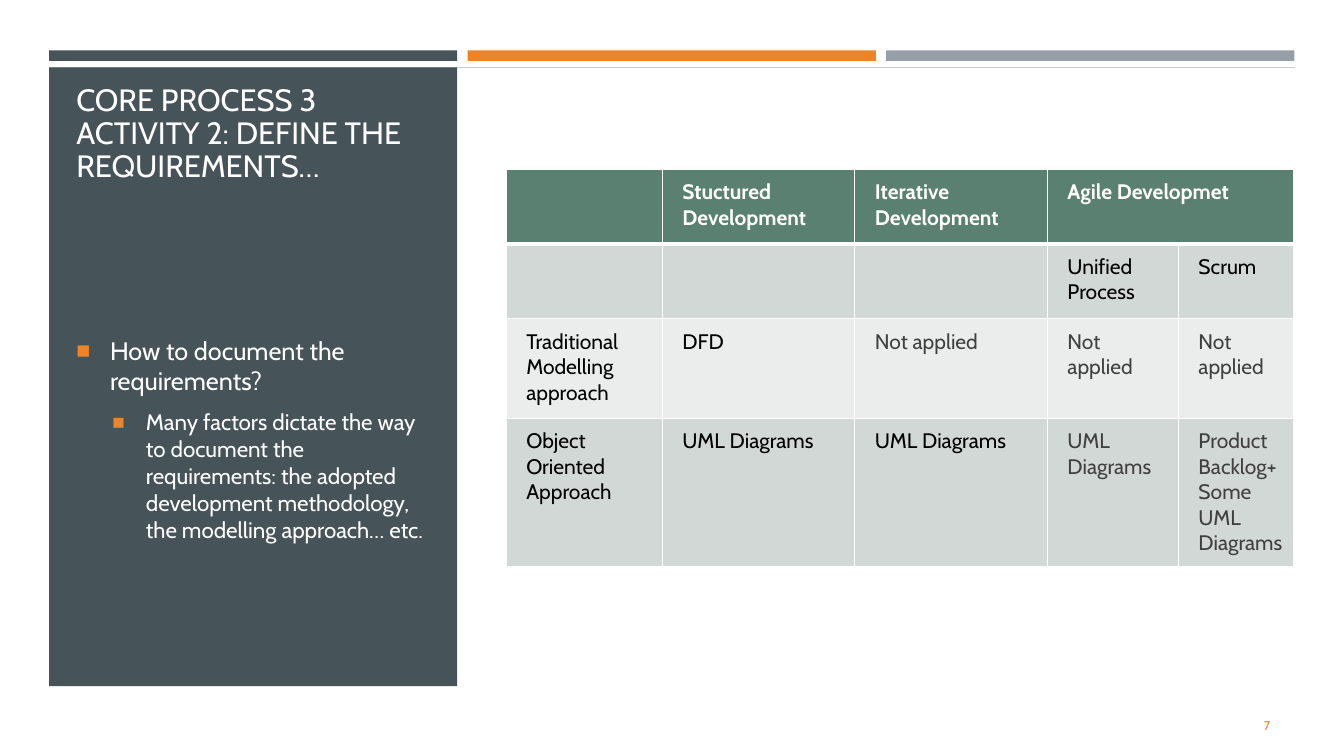
import pptx
import pptx.dml.color
import pptx.enum.shapes
import pptx.enum.text
import pptx.oxml
import pptx.oxml.ns
import pptx.util
from lxml import etree

Pt = pptx.util.Pt
ANCHOR = pptx.enum.text.MSO_ANCHOR
FONT = "Cabin"
SLATE, ORANGE, GREY, WHITE = "465359", "ED8428", "969FA7", "FFFFFF"
BLACK, CHARCOAL, GREEN = "000000", "404040", "5A8071"
ROW_FILLS = [GREEN, "D2D8D5", "EAEDEB", "D2D8D5"]
COLUMN_WIDTHS = [111.6, 137.5, 137.5, 93.6, 82.1]
ROW_HEIGHTS = [53.3, 53.3, 71.3, 105.8]
APPROACHES = [
    ["", "Stuctured Development", "Iterative Development", "Agile Developmet", ""],
    ["", "", "", "Unified Process", "Scrum"],
    ["Traditional Modelling approach", "DFD"] + ["Not applied"] * 3,
    ["Object Oriented Approach"] + ["UML Diagrams"] * 3
    + ["Product Backlog+Some UML Diagrams"],
]
FIRST_CHARCOAL_COLUMN = {2: 2, 3: 3}


def rgb(value):
    """Turn a hex string into a colour."""
    return pptx.dml.color.RGBColor.from_string(value)


def apply(target, formats):
    """Set every attribute named in a dict of format values."""
    for attribute, value in formats.items():
        setattr(target, attribute, value)


def add_child(parent, tag, **attributes):
    """Append a drawing element with attributes to a parent."""
    child = etree.SubElement(parent, pptx.oxml.ns.qn(tag))
    for attribute, value in attributes.items():
        child.set(attribute, str(value))
    return child


def add_block(slide, left, top, width, height, color):
    """Draw a plain filled rectangle."""
    block = slide.shapes.add_shape(
        pptx.enum.shapes.MSO_SHAPE.RECTANGLE, Pt(left), Pt(top), Pt(width), Pt(height))
    block.shadow.inherit = False
    block.fill.solid()
    block.fill.fore_color.rgb = rgb(color)
    block.line.fill.background()


def add_rule(slide, left, right, y):
    """Draw the hairline under the header bars."""
    rule = slide.shapes.add_connector(
        pptx.enum.shapes.MSO_CONNECTOR.STRAIGHT, Pt(left), Pt(y), Pt(right), Pt(y))
    rule.line.width = Pt(0.25)
    rule.line.color.rgb = rgb("C8CBCD")
    add_child(rule._element.spPr, "a:effectLst")


def add_text_frame(slide, left, top, width, height, anchor):
    """Add a wrapping text box and return its frame."""
    frame = slide.shapes.add_textbox(Pt(left), Pt(top), Pt(width), Pt(height)).text_frame
    apply(frame, {"word_wrap": True, "vertical_anchor": anchor})
    return frame


def write(paragraph, text, size, color, bold=False, **formats):
    """Write one styled run into a paragraph."""
    apply(paragraph, formats)
    run = paragraph.add_run()
    run.text = text
    apply(run.font, {"name": FONT, "size": Pt(size), "bold": bold})
    run.font.color.rgb = rgb(color)


def add_bullet(paragraph, indent):
    """Give a paragraph an orange square bullet with a hanging indent."""
    properties = paragraph._p.get_or_add_pPr()
    properties.set("marL", str(Pt(indent)))
    properties.set("indent", str(-Pt(24)))
    add_child(add_child(properties, "a:buClr"), "a:srgbClr", val=ORANGE)
    add_child(properties, "a:buSzPct", val=92000)
    add_child(properties, "a:buFont", typeface="Arial")
    add_child(properties, "a:buChar", char="■")


def add_borders(cell, top, bottom):
    """Put white borders on a cell, with the given top and bottom widths."""
    properties = cell._tc.get_or_add_tcPr()
    for side, width in {"L": 1, "R": 1, "T": top, "B": bottom}.items():
        border = add_child(properties, f"a:ln{side}", w=Pt(width))
        add_child(add_child(border, "a:solidFill"), "a:srgbClr", val=WHITE)


def add_approach_table(slide):
    """Build the table of modelling approaches by methodology."""
    table = slide.shapes.add_table(
        len(ROW_HEIGHTS), len(COLUMN_WIDTHS), Pt(361.5), Pt(121),
        Pt(sum(COLUMN_WIDTHS)), Pt(sum(ROW_HEIGHTS))).table
    for column, width in zip(table.columns, COLUMN_WIDTHS):
        column.width = Pt(width)
    for row, height in zip(table.rows, ROW_HEIGHTS):
        row.height = Pt(height)
    margins = {"margin_left": Pt(14.4), "margin_right": Pt(7.2),
               "margin_top": Pt(7.2), "margin_bottom": Pt(7.2)}
    for r, labels in enumerate(APPROACHES):
        for c, label in enumerate(labels):
            cell = table.cell(r, c)
            apply(cell, margins)
            add_borders(cell, 3 if r == 1 else 1, 3 if r == 0 else 1)
            cell.fill.solid()
            cell.fill.fore_color.rgb = rgb(ROW_FILLS[r])
            body_color = CHARCOAL if c >= FIRST_CHARCOAL_COLUMN.get(r, 5) else BLACK
            if label:
                write(cell.text_frame.paragraphs[0], label, 15,
                      WHITE if r == 0 else body_color, r == 0)
    table.cell(0, 3).merge(table.cell(0, 4))


def main():
    """Build the slide and save it."""
    deck = pptx.Presentation()
    apply(deck, {"slide_width": Pt(960), "slide_height": Pt(540)})
    slide = deck.slides.add_slide(deck.slide_layouts[6])

    for i, color in enumerate([SLATE, ORANGE, GREY]):
        add_block(slide, 35 + 299 * i, 36, 291.6, 7.5, color)
    add_rule(slide, 35, 925, 48.2)
    add_block(slide, 35, 48.2, 291.6, 442, SLATE)

    title = add_text_frame(slide, 47.5, 55.4, 268.6, 80, ANCHOR.BOTTOM)
    write(title.paragraphs[0], "CORE PROCESS 3 ACTIVITY 2: DEFINE THE REQUIREMENTS…",
          22, WHITE, line_spacing=0.9)

    question = add_text_frame(slide, 47.5, 154.8, 268.6, 317.5, ANCHOR.MIDDLE)
    add_bullet(question.paragraphs[0], 24)
    write(question.paragraphs[0], "How to document the requirements?", 18, WHITE,
          space_after=Pt(6))
    factors = question.add_paragraph()
    add_bullet(factors, 49.7)
    write(factors, "Many factors dictate the way to document the requirements: the adopted "
          "development methodology, the modelling approach… etc.", 16, WHITE,
          level=1, space_before=Pt(3.2), space_after=Pt(6))

    add_approach_table(slide)

    page_number = add_text_frame(slide, 831.6, 504, 82.8, 28.8, ANCHOR.MIDDLE)
    write(page_number.paragraphs[0], "7", 9, ORANGE,
          alignment=pptx.enum.text.PP_ALIGN.RIGHT)
    deck.save("out.pptx")


if __name__ == "__main__":
    main()
